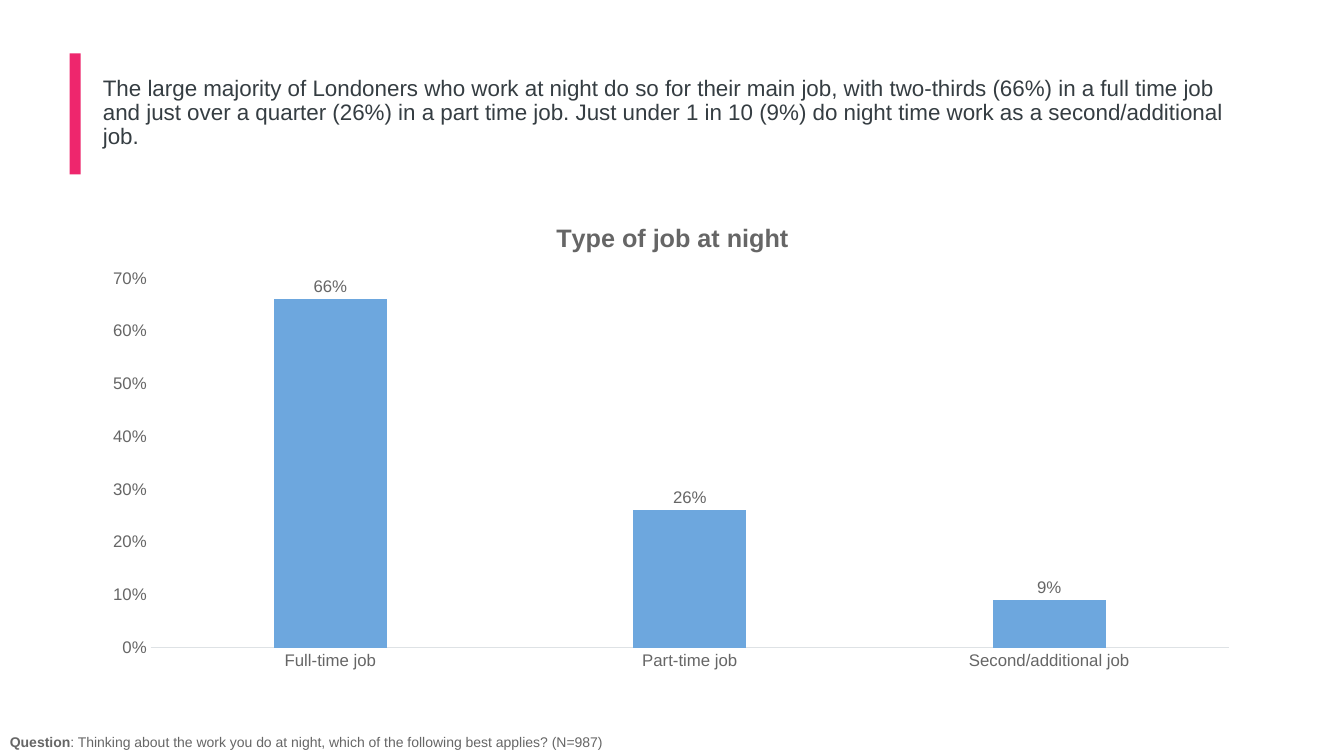
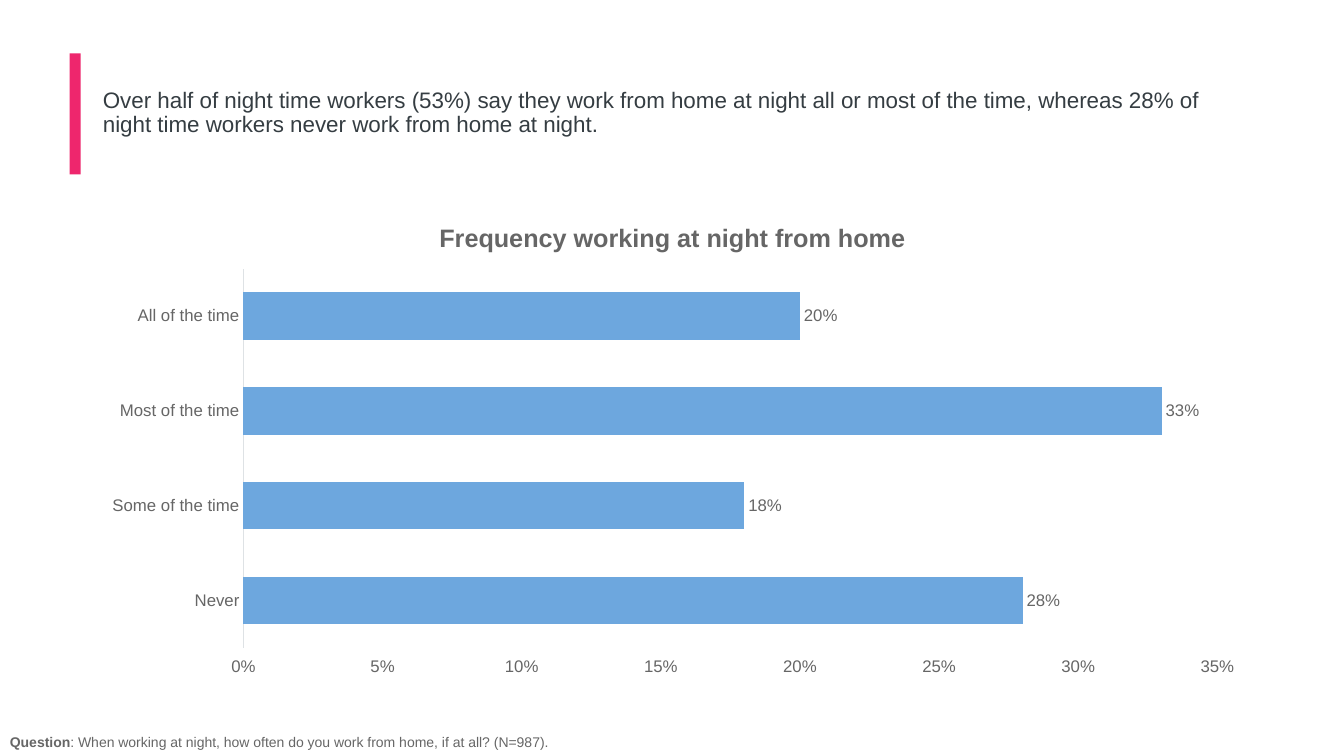
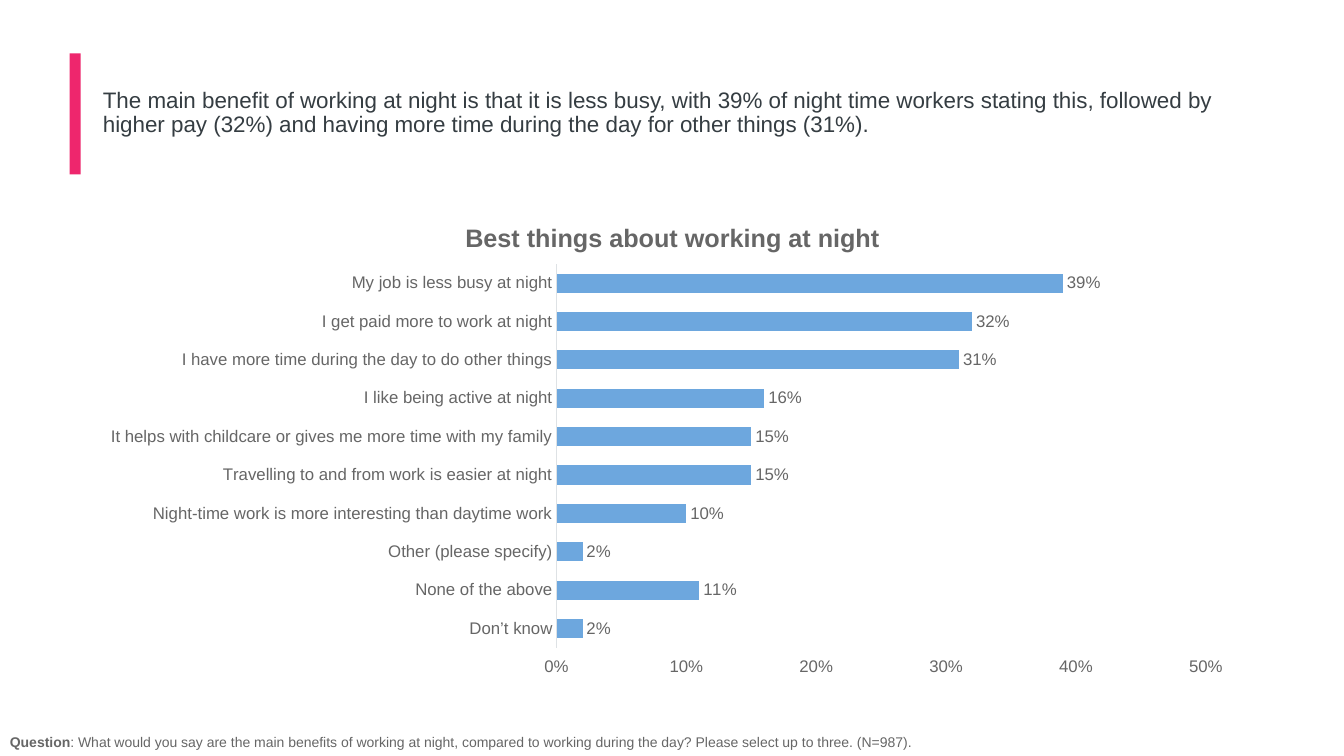
import pptx
import pptx.chart.data
import pptx.dml.color
import pptx.enum.chart
import pptx.enum.shapes
import pptx.enum.text
import pptx.oxml.ns
import pptx.util
import lxml.etree

Inches = pptx.util.Inches
Pt = pptx.util.Pt
Color = pptx.dml.color.RGBColor
kinds = pptx.enum.chart.XL_CHART_TYPE
qn = pptx.oxml.ns.qn

PINK = Color(0xEE, 0x26, 0x6D)
DARK = Color(0x35, 0x3D, 0x42)
GREY = Color(0x66, 0x66, 0x66)
PALE = Color(0xDE, 0xE2, 0xE5)
BLUE = Color(0x6D, 0xA7, 0xDE)
FONT = "Arial"
FORMAT = "###0%"

PAGES = [
    {
        "head": "The large majority of Londoners who work at night do so for their main job, with two-thirds (66%) in a full time job and just over a quarter (26%) in a part time job. Just under 1 in 10 (9%) do night time work as a second/additional job.",
        "title": "Type of job at night",
        "ask": ": Thinking about the work you do at night, which of the following best applies? (N=987)",
        "kind": kinds.COLUMN_CLUSTERED, "gap": 219, "lap": -27,
        "top": 0.7, "step": 0.1, "plot": (0.05, 0.16, 0.93, 0.77),
        "data": [("Full-time job", 0.66), ("Part-time job", 0.26),
                 ("Second/additional job", 0.09)],
    },
    {
        "head": "Over half of night time workers (53%) say they work from home at night all or most of the time, whereas 28% of night time workers never work from home at night.",
        "title": "Frequency working at night from home",
        "ask": ": When working at night, how often do you work from home, if at all? (N=987).",
        "kind": kinds.BAR_CLUSTERED, "gap": 100, "lap": 0,
        "top": 0.35, "step": 0.05, "plot": (0.13, 0.14, 0.84, 0.79),
        "data": [("All of the time", 0.2), ("Most of the time", 0.33),
                 ("Some of the time", 0.18), ("Never", 0.28)],
    },
    {
        "head": "The main benefit of working at night is that it is less busy, with 39% of night time workers stating this, followed by higher pay (32%) and having more time during the day for other things (31%).",
        "title": "Best things about working at night",
        "ask": ": What would you say are the main benefits of working at night, compared to working during the day? Please select up to three. (N=987).",
        "kind": kinds.BAR_CLUSTERED, "gap": 100, "lap": 0,
        "top": 0.5, "step": 0.1, "plot": (0.4, 0.13, 0.56, 0.8),
        "data": [
            ("My job is less busy at night", 0.39),
            ("I get paid more to work at night", 0.32),
            ("I have more time during the day to do other things", 0.31),
            ("I like being active at night", 0.16),
            ("It helps with childcare or gives me more time with my family", 0.15),
            ("Travelling to and from work is easier at night", 0.15),
            ("Night-time work is more interesting than daytime work", 0.1),
            ("Other (please specify)", 0.02),
            ("None of the above", 0.11),
            ("Don’t know", 0.02),
        ],
    },
]


def style(font, size, color, bold=False):
    font.name = FONT
    font.size = Pt(size)
    font.color.rgb = color
    font.bold = bold


def write(para, text, size, color, bold=False):
    run = para.add_run()
    run.text = text
    style(run.font, size, color, bold)


def set_base(slide, layout):
    head = layout.placeholders[0]
    head.left, head.top = Inches(0.92), Inches(0.4)
    head.width, head.height = Inches(11.5), Inches(1.45)
    bar = slide.shapes.add_shape(
        pptx.enum.shapes.MSO_SHAPE.RECTANGLE,
        Inches(0.69), Inches(0.53), Inches(0.11), Inches(1.2))
    bar.shadow.inherit = False
    bar.fill.solid()
    bar.fill.fore_color.rgb = PINK
    bar.line.fill.background()
    layout.shapes.element.append(bar.element)


def add_head(slide, text):
    frame = slide.shapes.title.text_frame
    frame.word_wrap = True
    frame.auto_size = pptx.enum.text.MSO_AUTO_SIZE.NONE
    frame.vertical_anchor = pptx.enum.text.MSO_ANCHOR.MIDDLE
    para = frame.paragraphs[0]
    para.alignment = pptx.enum.text.PP_ALIGN.LEFT
    para.line_spacing = 0.9
    write(para, text, 16, DARK)


def add_ask(slide, text):
    box = slide.shapes.add_textbox(0, Inches(7.23), Inches(9.9), Inches(0.27))
    box.text_frame.word_wrap = True
    para = box.text_frame.paragraphs[0]
    write(para, "Question", 10, GREY, True)
    write(para, text, 10, GREY)


def set_plot(chart, spot):
    area = chart.element.find(".//" + qn("c:plotArea"))
    for old in area.findall(qn("c:layout")):
        area.remove(old)
    outer = lxml.etree.Element(qn("c:layout"))
    area.insert(0, outer)
    inner = lxml.etree.SubElement(outer, qn("c:manualLayout"))
    names = ("layoutTarget", "xMode", "yMode", "x", "y", "w", "h")
    for name, val in zip(names, ("inner", "edge", "edge") + spot):
        lxml.etree.SubElement(inner, qn("c:" + name)).set("val", str(val))


def add_graph(slide, page):
    data = pptx.chart.data.CategoryChartData(number_format=FORMAT)
    data.categories = [name for name, val in page["data"]]
    data.add_series("Series 1", [val for name, val in page["data"]])
    chart = slide.shapes.add_chart(
        page["kind"], Inches(0.92), Inches(2), Inches(11.5), Inches(4.76),
        data).chart
    style(chart.font, 12, GREY)
    chart.has_legend = False
    chart.has_title = True
    write(chart.chart_title.text_frame.paragraphs[0], page["title"], 18, GREY, True)
    set_plot(chart, page["plot"])

    cats, vals = chart.category_axis, chart.value_axis
    for axis in (cats, vals):
        axis.has_major_gridlines = False
        axis.major_tick_mark = pptx.enum.chart.XL_TICK_MARK.NONE
        axis.minor_tick_mark = pptx.enum.chart.XL_TICK_MARK.NONE
        style(axis.tick_labels.font, 12, GREY)
    cats.format.line.color.rgb = PALE
    cats.format.line.width = Pt(0.75)
    vals.format.line.fill.background()
    vals.minimum_scale = 0
    vals.maximum_scale = page["top"]
    vals.major_unit = page["step"]
    vals.tick_labels.number_format = FORMAT
    vals.tick_labels.number_format_is_linked = False
    if page["kind"] == kinds.BAR_CLUSTERED:
        cats.reverse_order = True
        vals.tick_label_position = pptx.enum.chart.XL_TICK_LABEL_POSITION.HIGH

    plot = chart.plots[0]
    plot.vary_by_categories = False
    plot.gap_width = page["gap"]
    plot.overlap = page["lap"]
    fill = plot.series[0].format.fill
    fill.solid()
    fill.fore_color.rgb = BLUE
    plot.has_data_labels = True
    tags = plot.data_labels
    tags.show_value = True
    tags.position = pptx.enum.chart.XL_LABEL_POSITION.OUTSIDE_END
    tags.number_format = FORMAT
    tags.number_format_is_linked = False
    style(tags.font, 12, GREY)


def main():
    deck = pptx.Presentation()
    deck.slide_width, deck.slide_height = Inches(13.33), Inches(7.5)
    layout = deck.slide_layouts[5]
    for num, page in enumerate(PAGES):
        slide = deck.slides.add_slide(layout)
        if num == 0:
            set_base(slide, layout)
        add_head(slide, page["head"])
        add_graph(slide, page)
        add_ask(slide, page["ask"])
    deck.save("out.pptx")


if __name__ == "__main__":
    main()
